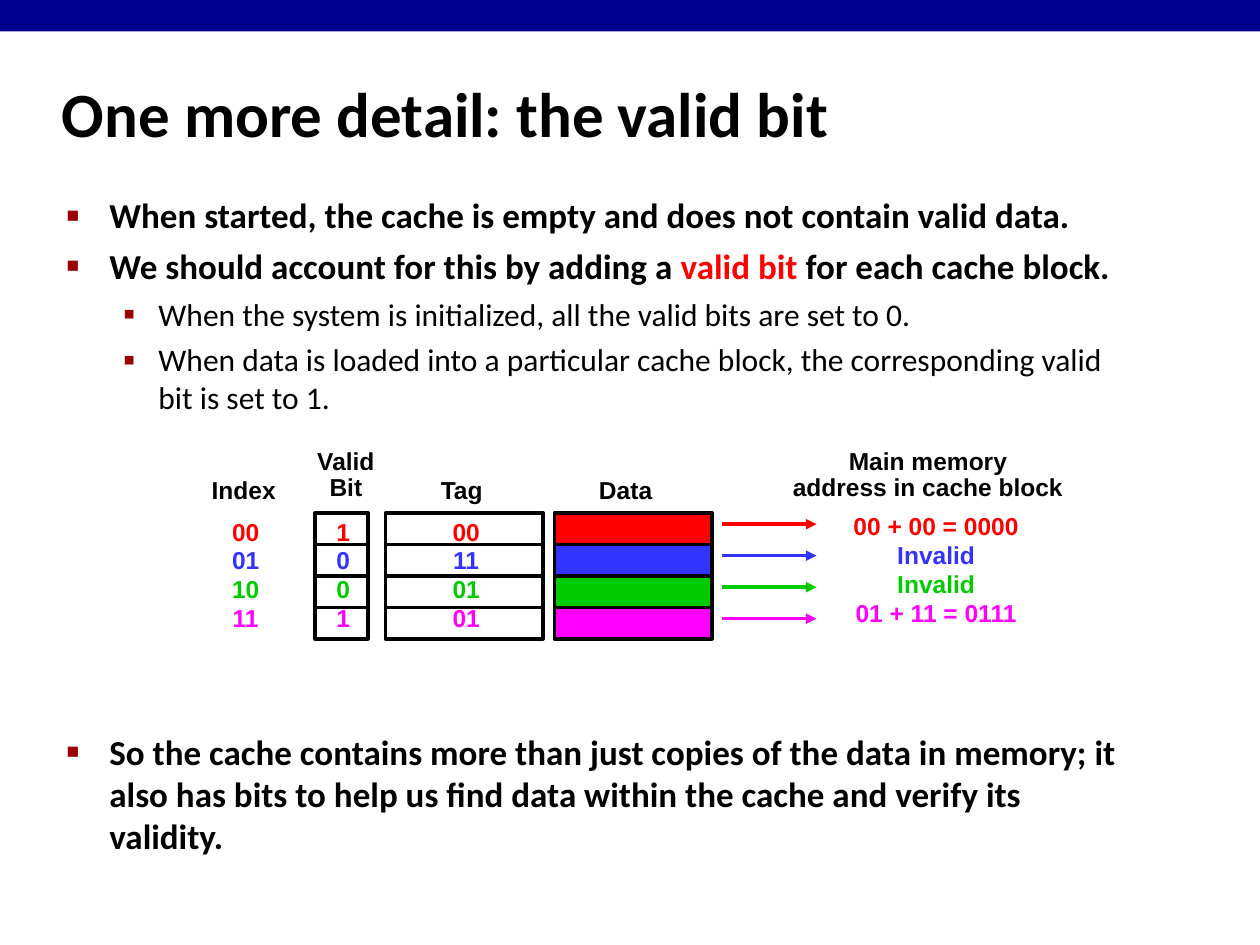
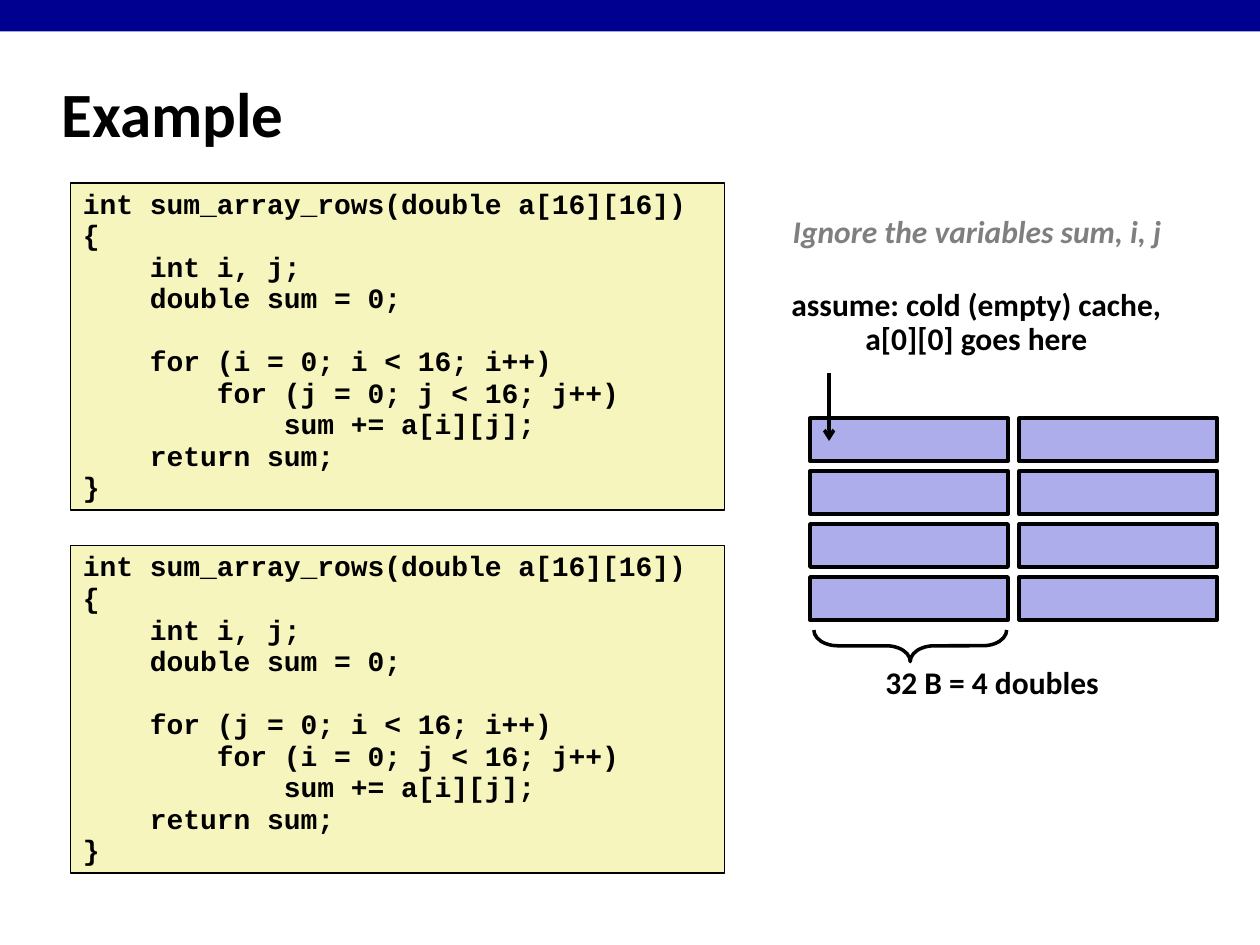
from dataclasses import dataclass

from lxml import etree
from pptx import Presentation
from pptx.dml.color import RGBColor
from pptx.enum.shapes import MSO_CONNECTOR, MSO_SHAPE
from pptx.enum.text import MSO_ANCHOR, MSO_AUTO_SIZE, PP_ALIGN
from pptx.oxml.ns import qn
from pptx.util import Emu, Pt

RECTANGLE, LEFT_BRACE = MSO_SHAPE.RECTANGLE, MSO_SHAPE.LEFT_BRACE
STRAIGHT = MSO_CONNECTOR.STRAIGHT
LEFT, CENTER = PP_ALIGN.LEFT, PP_ALIGN.CENTER
TOP, MIDDLE = MSO_ANCHOR.TOP, MSO_ANCHOR.MIDDLE
NO_FIT = MSO_AUTO_SIZE.NONE

EMU_PER_PX = 9144  # 100 px to the inch
TITLE_ONLY = 5


@dataclass(frozen=True)
class Theme:
    band: str = "000090"
    ink: str = "000000"
    muted: str = "7F7F7F"
    bullet: str = "990000"
    accent: str = "FF0000"
    code_fill: str = "F6F5BD"
    block_fill: str = "ADADEB"
    rows: tuple = ("FF0000", "3333FF", "00CC00", "FF00FF")
    body_font: str = "Calibri"
    label_font: str = "Arial"
    code_font: str = "Courier New"
    title_size: int = 36
    body_size: int = 20
    note_size: int = 18
    code_size: int = 16
    label_size: int = 14


THEME = Theme()

# Bullet levels: sign, size in percent, left margin, hanging indent, space before, bold
BULLETS = (
    ("■", 60, 34, 34, 5, True),
    ("▪", 110, 73, 28, 4.5, False),
)


def px(length):
    return Emu(length * EMU_PER_PX)


def rgb(color):
    return RGBColor.from_string(color)


def add_bullet(para, level):
    sign, percent, margin, hang, _, _ = BULLETS[level]
    para.level = level
    props = para._p.get_or_add_pPr()
    props.set("marL", str(px(margin)))
    props.set("indent", str(-px(hang)))
    color = etree.SubElement(props, qn("a:buClr"))
    etree.SubElement(color, qn("a:srgbClr"), val=THEME.bullet)
    etree.SubElement(props, qn("a:buSzPct"), val=str(percent * 1000))
    etree.SubElement(props, qn("a:buFont"), typeface=THEME.label_font)
    etree.SubElement(props, qn("a:buChar"), char=sign)


def write_para(frame, text, *, font=THEME.body_font, size=THEME.note_size, color=THEME.ink,
               bold=True, italic=False, align=LEFT, line=1.0, before=0, level=None):
    """Add a paragraph; text is a string or a list of (words, color) spans."""
    first = not frame.paragraphs[0].runs
    para = frame.paragraphs[0] if first else frame.add_paragraph()
    if level is not None:
        add_bullet(para, level)
    para.alignment = align
    para.line_spacing = line
    para.space_before = Pt(0 if first else before)
    for words, span_color in [(text, color)] if isinstance(text, str) else text:
        span = para.add_run()
        span.text = words
        span.font.name = font
        span.font.size = Pt(size)
        span.font.bold = bold
        span.font.italic = italic
        span.font.color.rgb = rgb(span_color)


class SlideBuilder:
    def __init__(self, deck, theme):
        self.deck = deck
        self.theme = theme
        self.page = None

    def new_page(self, title):
        self.page = self.deck.slides.add_slide(self.deck.slide_layouts[TITLE_ONLY])
        self.shape(0, 0, 1000, 25, fill=self.theme.band)
        holder = self.page.shapes.title
        holder.left, holder.top, holder.width, holder.height = map(px, (39, 48, 830, 83))
        self.format_frame(holder.text_frame, MIDDLE, wrap=True)
        write_para(holder.text_frame, title, size=self.theme.title_size)

    def format_frame(self, frame, anchor, wrap, inset=(10, 5)):
        frame.word_wrap = wrap
        frame.auto_size = NO_FIT
        frame.vertical_anchor = anchor
        frame.margin_left = frame.margin_right = px(inset[0])
        frame.margin_top = frame.margin_bottom = px(inset[1])

    def shape(self, left, top, width, height, fill=None, line=None, kind=RECTANGLE):
        box = self.page.shapes.add_shape(kind, *map(px, (left, top, width, height)))
        box.shadow.inherit = False
        if fill:
            box.fill.solid()
            box.fill.fore_color.rgb = rgb(fill)
        else:
            box.fill.background()
        if line:
            box.line.color.rgb = rgb(self.theme.ink)
            box.line.width = Pt(line)
        else:
            box.line.fill.background()
        return box

    def text(self, left, top, width, height, anchor=TOP, wrap=False, inset=(10, 5)):
        box = self.page.shapes.add_textbox(*map(px, (left, top, width, height)))
        self.format_frame(box.text_frame, anchor, wrap, inset)
        return box.text_frame

    def bullets(self, top, height, items):
        frame = self.text(43, top, 864, height, wrap=True)
        for level, text in items:
            *_, before, bold = BULLETS[level]
            size = self.theme.note_size if level else self.theme.body_size
            write_para(frame, text, size=size, bold=bold, before=before, level=level)

    def label(self, left, top, width, height, lines, colors=None):
        """Centred diagram text, one colour per line when colours are given."""
        frame = self.text(left, top, width, height, MIDDLE, inset=(11, 6))
        for number, words in enumerate(lines):
            write_para(frame, words, font=self.theme.label_font, size=self.theme.label_size,
                       color=colors[number] if colors else self.theme.ink,
                       align=CENTER, line=0.9, before=1.4 if colors else 0)

    def note(self, left, top, width, height, lines, **style):
        frame = self.text(left, top, width, height)
        for words in lines:
            write_para(frame, words, align=CENTER, line=0.9, **style)

    def code(self, left, top, width, height, source):
        frame = self.shape(left, top, width, height, self.theme.code_fill, 1).text_frame
        self.format_frame(frame, TOP, wrap=True)
        gap = 0
        for words in source.splitlines():
            if words:
                write_para(frame, words, font=self.theme.code_font,
                           size=self.theme.code_size, line=0.94, before=gap)
            gap = 0 if words else 18

    def arrow(self, start, end, color, head):
        line = self.page.shapes.add_connector(STRAIGHT, *map(px, (*start, *end)))
        line.line.color.rgb = rgb(color)
        line.line.width = Pt(2)
        etree.SubElement(line.line._get_or_add_ln(), qn("a:tailEnd"), type=head)
        etree.SubElement(line._element.spPr, qn("a:effectLst"))


def build_valid_bit(slide):
    slide.new_page("One more detail: the valid bit")
    ink, accent, rows = slide.theme.ink, slide.theme.accent, slide.theme.rows

    slide.bullets(149, 190, [
        (0, "When started, the cache is empty and does not contain valid data."),
        (0, [("We should account for this by adding a ", ink), ("valid bit", accent),
             (" for each cache block.", ink)]),
        (1, "When the system is initialized, all the valid bits are set to 0."),
        (1, "When data is loaded into a particular cache block, "
            "the corresponding valid bit is set to 1."),
    ])

    # Cache cells and the arrows to their addresses
    for number, color in enumerate(rows):
        top = 407 + 25 * number
        for left, width, fill in ((250, 42, None), (306, 125, None), (440, 125, color)):
            slide.shape(left, top, width, 25, fill, 2)
        slide.arrow((573, top + 9), (648, top + 9), color, "triangle")

    # Column headings
    slide.label(157, 374, 73, 32, ["Index"])
    slide.label(240, 351, 69, 53, ["Valid", "Bit"])
    slide.label(338, 374, 57, 32, ["Tag"])
    slide.label(464, 374, 65, 32, ["Data"])
    slide.label(618, 351, 237, 53, ["Main memory", "address in cache block"])

    # Column values
    for left, top, width, values in (
        (173, 407, 44, ["00", "01", "10", "11"]),
        (256, 407, 33, ["1", "0", "0", "1"]),
        (348, 407, 44, ["00", "11", "01", "01"]),
        (666, 403, 154, ["00 + 00 = 0000", "Invalid", "Invalid", "01 + 11 = 0111"]),
    ):
        slide.label(left, top, width, 101, values, rows)

    slide.bullets(575, 118, [
        (0, "So the cache contains more than just copies of the data in memory; it also has "
            "bits to help us find data within the cache and verify its validity."),
    ])


SUM_CODE = """int sum_array_rows(double a[16][16])
{{
    int i, j;
    double sum = 0;

    for ({outer} = 0; i < 16; i++)
        for ({inner} = 0; j < 16; j++)
            sum += a[i][j];
    return sum;
}}"""


def build_example(slide):
    slide.new_page("Example")

    # Two loop orders
    for top, outer, inner in ((145, "i", "j"), (433, "j", "i")):
        slide.code(56, top, 519, 260, SUM_CODE.format(outer=outer, inner=inner))

    # Cache of four sets with two blocks each
    for left in (643, 809):
        for number in range(4):
            slide.shape(left, 332 + 42 * number, 157, 34, slide.theme.block_fill, 2.25)

    # Block size
    brace = slide.shape(710, 436, 25, 153, line=2, kind=LEFT_BRACE)
    brace.rotation = 270
    brace.adjustments[0] = 0.76
    slide.note(693, 525, 189, 37, ["32 B = 4 doubles"])

    # Assumptions
    slide.note(619, 167, 313, 37, ["Ignore the variables sum, i, j"],
               color=slide.theme.muted, italic=True)
    slide.note(618, 225, 314, 64, ["assume: cold (empty) cache,", "a[0][0] goes here"])
    slide.arrow((658, 296), (658, 350), slide.theme.ink, "arrow")


def main():
    deck = Presentation()
    deck.slide_width, deck.slide_height = px(1000), px(750)
    slide = SlideBuilder(deck, THEME)
    build_valid_bit(slide)
    build_example(slide)
    deck.save("out.pptx")


if __name__ == "__main__":
    main()
